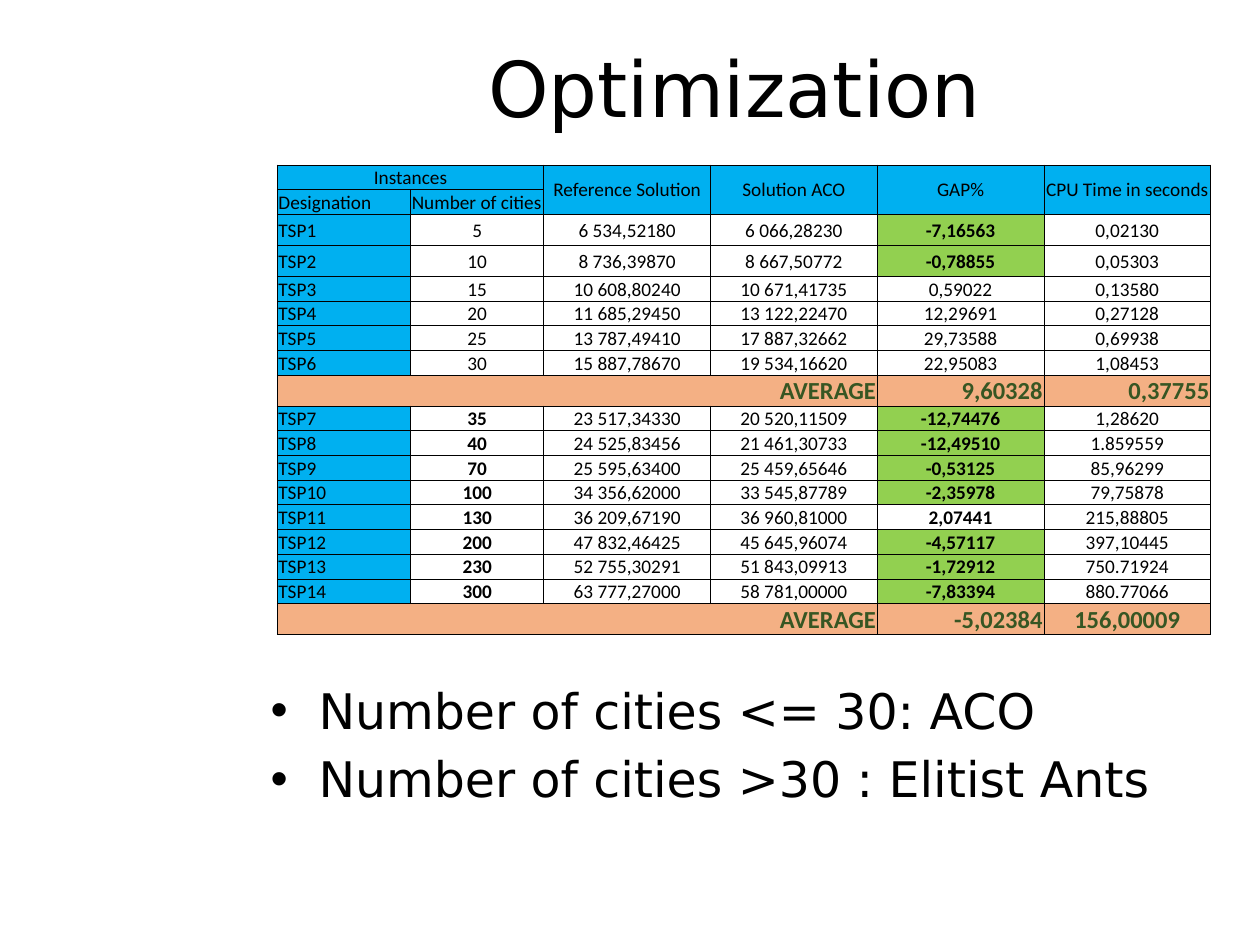
from lxml.etree import SubElement
from pptx import Presentation
from pptx.dml.color import RGBColor
from pptx.enum.text import MSO_ANCHOR, MSO_AUTO_SIZE, PP_ALIGN
from pptx.oxml.ns import qn
from pptx.util import Inches, Pt

# Content
TITLE = "Optimization"
BULLETS = ["Number of cities <= 30: ACO", "Number of cities >30 : Elitist Ants"]
GROUP_HEADER = "Instances"
SUB_HEADERS = ["Designation", "Number of cities"]
HEADERS = ["Reference Solution", "Solution ACO", "GAP%", "CPU Time in seconds"]
SMALL_INSTANCES = [
    ("TSP1", "5", "6 534,52180", "6 066,28230", "-7,16563", "0,02130"),
    ("TSP2", "10", "8 736,39870", "8 667,50772", "-0,78855", "0,05303"),
    ("TSP3", "15", "10 608,80240", "10 671,41735", "0,59022", "0,13580"),
    ("TSP4", "20", "11 685,29450", "13 122,22470", "12,29691", "0,27128"),
    ("TSP5", "25", "13 787,49410", "17 887,32662", "29,73588", "0,69938"),
    ("TSP6", "30", "15 887,78670", "19 534,16620", "22,95083", "1,08453"),
]
LARGE_INSTANCES = [
    ("TSP7", "35", "23 517,34330", "20 520,11509", "-12,74476", "1,28620"),
    ("TSP8", "40", "24 525,83456", "21 461,30733", "-12,49510", "1.859559"),
    ("TSP9", "70", "25 595,63400", "25 459,65646", "-0,53125", "85,96299"),
    ("TSP10", "100", "34 356,62000", "33 545,87789", "-2,35978", "79,75878"),
    ("TSP11", "130", "36 209,67190", "36 960,81000", "2,07441", "215,88805"),
    ("TSP12", "200", "47 832,46425", "45 645,96074", "-4,57117", "397,10445"),
    ("TSP13", "230", "52 755,30291", "51 843,09913", "-1,72912", "750.71924"),
    ("TSP14", "300", "63 777,27000", "58 781,00000", "-7,83394", "880.77066"),
]
# Instances, average gap, average time, alignment of the time, bold emphasis
GROUPS = [
    (SMALL_INSTANCES, "9,60328", "0,37755", PP_ALIGN.RIGHT, False),
    (LARGE_INSTANCES, "-5,02384", "156,00009", PP_ALIGN.CENTER, True),
]

THEME = {
    "text": "000000", "header": "00B0F0", "better": "92D050",
    "average": "F4B084", "average_text": "375623", "border": "000000",
    "slide_font": "DejaVu Sans", "table_font": "Calibri",
    "title_size": 44, "bullet_size": 28, "cell_size": 11, "average_size": 14,
}

# Layout
TITLE_BOX = (2.16, 0.3, 7.34, 0.77)
TABLE_BOX = (2.2, 1.31, 7.41, 3.73)
BULLET_BOX = (2.05, 5.35, 7.95, 1.69)
COLUMN_WEIGHTS = [4, 4, 5, 5, 5, 5]
TALL_ROWS = {2, 3, 8, 17}
ROW_WEIGHTS = [5 if row in TALL_ROWS else 4 for row in range(18)]
BULLET_INDENT = 0.38


def apply_format(target, values):
    for name, value in values.items():
        setattr(target, name, value)


def write_text(paragraph, text, font, size, color=THEME["text"], bold=False,
               align=PP_ALIGN.LEFT):
    paragraph.alignment = align
    run = paragraph.add_run()
    run.text = text
    apply_format(run.font, {"name": font, "size": Pt(size), "bold": bold})
    run.font.color.rgb = RGBColor.from_string(color)


def place(shape, box):
    names = ("left", "top", "width", "height")
    apply_format(shape, dict(zip(names, map(Inches, box))))


def add_borders(cell):
    properties = cell._tc.get_or_add_tcPr()
    for position, side in enumerate(("lnL", "lnR", "lnT", "lnB")):
        line = SubElement(properties, qn(f"a:{side}"), w=str(Pt(0.5)))
        fill = SubElement(line, qn("a:solidFill"))
        SubElement(fill, qn("a:srgbClr"), val=THEME["border"])
        properties.insert(position, line)


def fill_cell(cell, text, fill=None, align=PP_ALIGN.CENTER, **text_format):
    values = {"font": THEME["table_font"], "size": THEME["cell_size"],
              **text_format}
    write_text(cell.text_frame.paragraphs[0], text, align=align, **values)
    if fill:
        cell.fill.solid()
        cell.fill.fore_color.rgb = RGBColor.from_string(fill)


def fill_header(table):
    blue = THEME["header"]
    table.cell(0, 0).merge(table.cell(0, 1))
    fill_cell(table.cell(0, 0), GROUP_HEADER, blue)
    for column, text in enumerate(SUB_HEADERS):
        fill_cell(table.cell(1, column), text, blue, PP_ALIGN.LEFT)
    for column, text in enumerate(HEADERS, start=len(SUB_HEADERS)):
        table.cell(0, column).merge(table.cell(1, column))
        fill_cell(table.cell(0, column), text, blue)


def fill_instance(table, row, instance, emphasis):
    name, cities, reference, solution, gap, time = instance
    better = gap.startswith("-")
    fill_cell(table.cell(row, 0), name, THEME["header"], PP_ALIGN.LEFT)
    fill_cell(table.cell(row, 1), cities, bold=emphasis)
    fill_cell(table.cell(row, 2), reference)
    fill_cell(table.cell(row, 3), solution)
    fill_cell(table.cell(row, 4), gap, THEME["better"] if better else None,
              bold=better or emphasis)
    fill_cell(table.cell(row, 5), time)


def fill_average(table, row, gap, time, time_align):
    table.cell(row, 0).merge(table.cell(row, 3))
    for column, text, align in ((0, "AVERAGE", PP_ALIGN.RIGHT),
                                (4, gap, PP_ALIGN.RIGHT),
                                (5, time, time_align)):
        fill_cell(table.cell(row, column), text, THEME["average"], align,
                  size=THEME["average_size"], color=THEME["average_text"],
                  bold=True)


def add_results_table(slide):
    left, top, width, height = TABLE_BOX
    table = slide.shapes.add_table(len(ROW_WEIGHTS), len(COLUMN_WEIGHTS),
                                   *map(Inches, TABLE_BOX)).table
    apply_format(table, {"first_row": False, "horz_banding": False})
    for column, weight in zip(table.columns, COLUMN_WEIGHTS):
        column.width = Inches(width * weight / sum(COLUMN_WEIGHTS))
    for row, weight in zip(table.rows, ROW_WEIGHTS):
        row.height = Inches(height * weight / sum(ROW_WEIGHTS))
    for cell in table.iter_cells():
        margin = Inches(0.01)
        apply_format(cell, {"margin_left": margin, "margin_right": margin,
                            "margin_top": margin, "margin_bottom": 0,
                            "vertical_anchor": MSO_ANCHOR.MIDDLE})
        cell.fill.background()
        add_borders(cell)

    fill_header(table)
    row = 2
    for instances, gap, time, time_align, emphasis in GROUPS:
        for instance in instances:
            fill_instance(table, row, instance, emphasis)
            row += 1
        fill_average(table, row, gap, time, time_align)
        row += 1


def add_bullets(slide):
    frame = slide.shapes.add_textbox(*map(Inches, BULLET_BOX)).text_frame
    frame.word_wrap = True
    for index, text in enumerate(BULLETS):
        paragraph = frame.add_paragraph() if index else frame.paragraphs[0]
        write_text(paragraph, text, THEME["slide_font"], THEME["bullet_size"])
        paragraph.space_before = Pt(0.2 * THEME["bullet_size"])
        properties = paragraph._p.get_or_add_pPr()
        properties.set("marL", str(Inches(BULLET_INDENT)))
        properties.set("indent", str(-Inches(BULLET_INDENT)))
        SubElement(properties, qn("a:buFont"), typeface="Arial")
        SubElement(properties, qn("a:buChar"), char="•")


def main():
    presentation = Presentation()
    apply_format(presentation, {"slide_width": Inches(10),
                                "slide_height": Inches(7.5)})
    slide = presentation.slides.add_slide(presentation.slide_layouts[5])

    # Title
    title = slide.shapes.title
    place(title, TITLE_BOX)
    apply_format(title.text_frame, {"vertical_anchor": MSO_ANCHOR.MIDDLE,
                                    "auto_size": MSO_AUTO_SIZE.NONE})
    write_text(title.text_frame.paragraphs[0], TITLE, THEME["slide_font"],
               THEME["title_size"], align=PP_ALIGN.CENTER)

    # Conclusions and results
    add_bullets(slide)
    add_results_table(slide)
    presentation.save("out.pptx")


if __name__ == "__main__":
    main()
